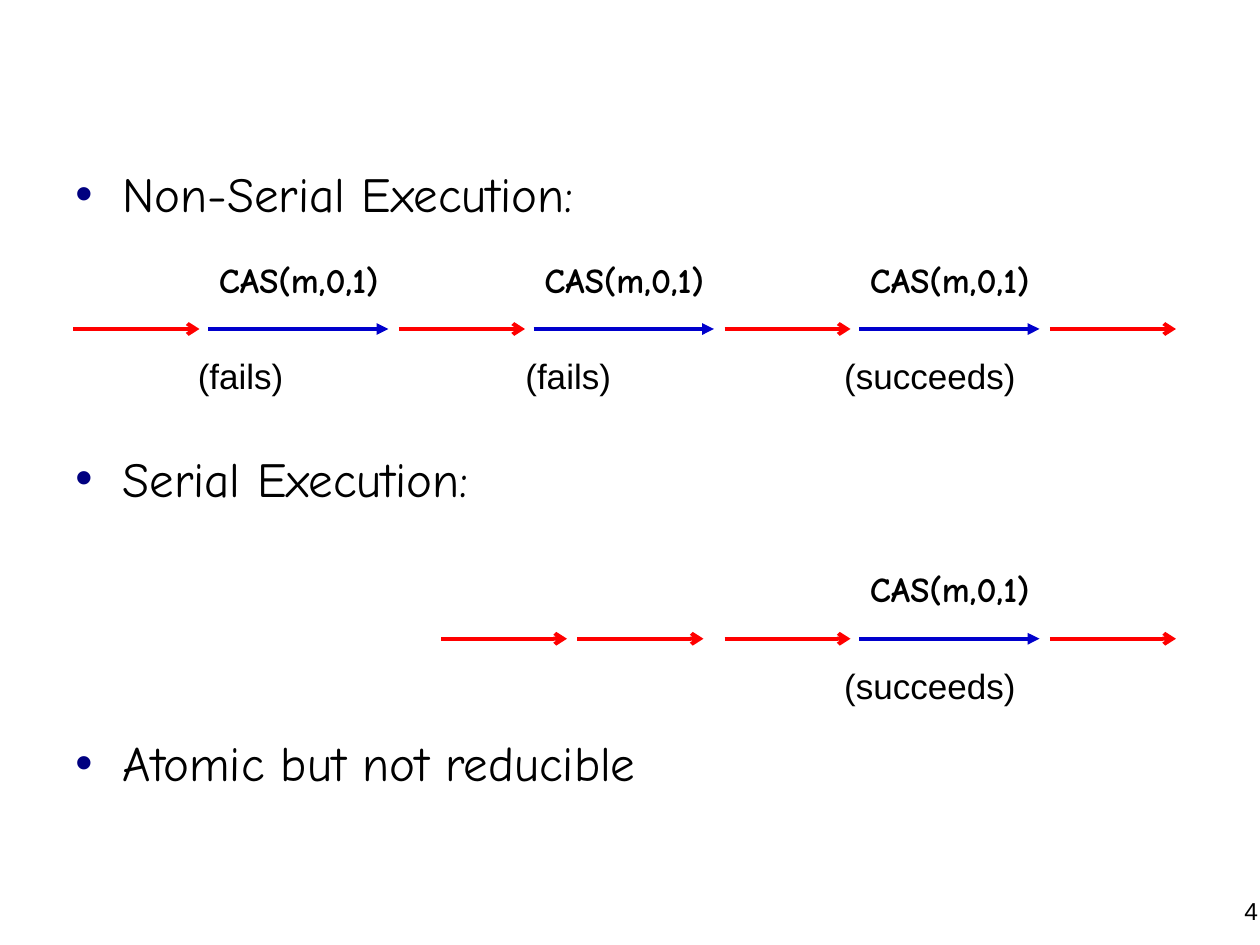
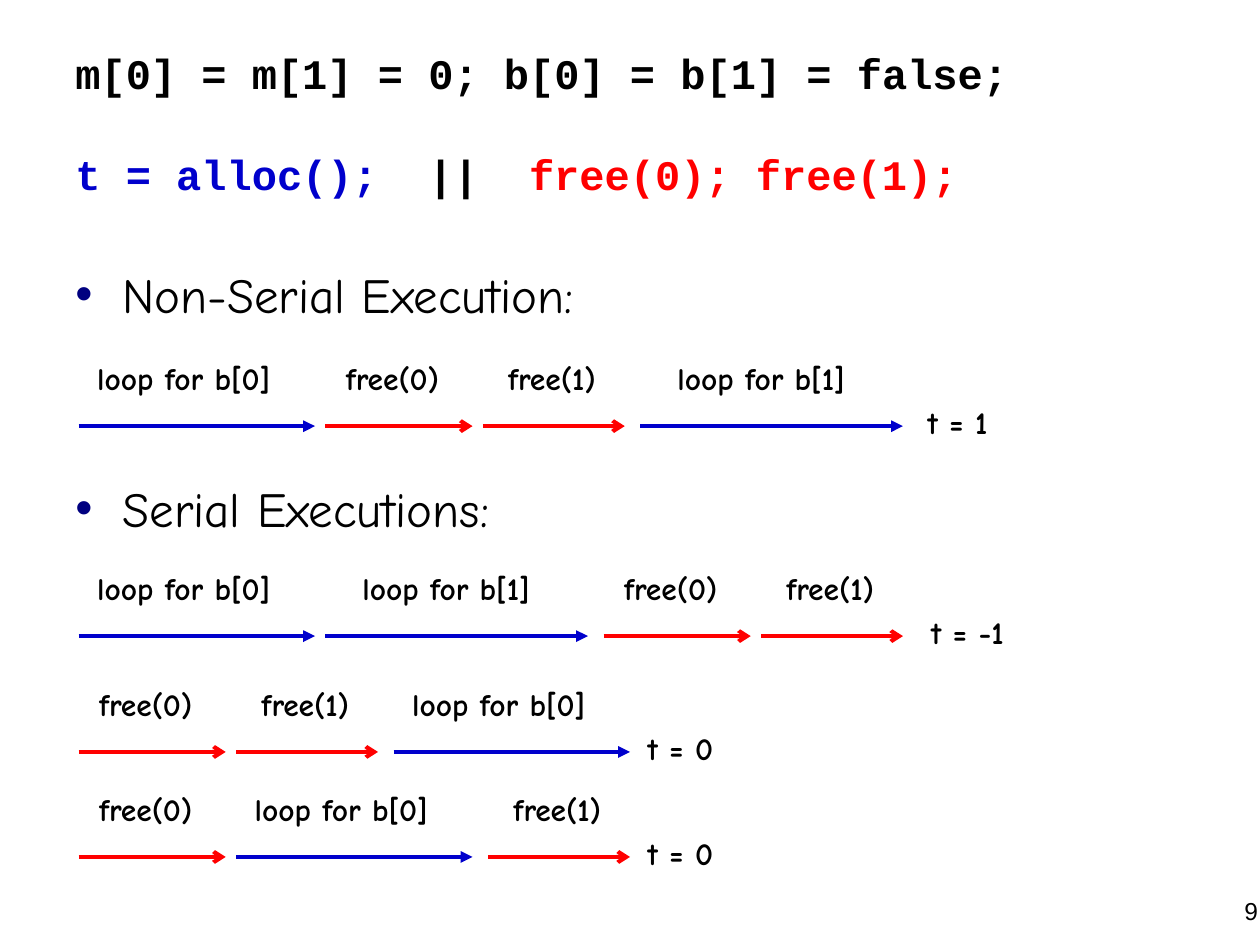
"""Build two slides comparing non-serial and serial executions."""
from dataclasses import dataclass
from lxml import etree
from pptx import Presentation
from pptx import util as u
from pptx.dml.color import RGBColor
from pptx.enum import shapes, text
from pptx.oxml.ns import qn


@dataclass(frozen=True)
class Theme:
    black: str = "000000"
    blue: str = "0000CC"
    red: str = "FF0000"
    bullet: str = "000080"
    hand: str = "Comic Neue"
    sans: str = "Arial"
    code: str = "Courier New"
    heading_size: int = 28
    code_size: int = 24
    cas_size: int = 20
    step_size: int = 18
    number_size: int = 14
    arrow_width: float = 2.25


theme = Theme()


def write(page, at, lines, size, face, bold=False, align="LEFT", gap=0, wrap=False):
    box = page.shapes.add_textbox(*(u.Pt(length) for length in at))
    frame = box.text_frame
    frame.word_wrap = wrap
    frame.auto_size = text.MSO_AUTO_SIZE.NONE if wrap else text.MSO_AUTO_SIZE.SHAPE_TO_FIT_TEXT
    for index, spans in enumerate(lines):
        para = frame.paragraphs[0] if index == 0 else frame.add_paragraph()
        para.alignment = text.PP_ALIGN[align]
        if index:
            para.space_before = u.Pt(gap)
        for words, colour in spans:
            span = para.add_run()
            span.text = words
            span.font.size = u.Pt(size)
            span.font.name = face
            span.font.bold = bold
            span.font.color.rgb = RGBColor.from_string(colour)
    return frame


def draw_arrow(page, start, end, y, colour):
    line = page.shapes.add_connector(
        shapes.MSO_CONNECTOR.STRAIGHT, u.Pt(start), u.Pt(y), u.Pt(end), u.Pt(y))
    line.line.color.rgb = RGBColor.from_string(colour)
    line.line.width = u.Pt(theme.arrow_width)
    head = "triangle" if colour == theme.blue else "arrow"
    outline = line.line._get_or_add_ln()
    etree.SubElement(outline, qn("a:miter"), lim="800000")
    etree.SubElement(outline, qn("a:tailEnd"), type=head)
    etree.SubElement(line._element.spPr, qn("a:effectLst"))


deck = Presentation()
deck.slide_width, deck.slide_height = u.Pt(720), u.Pt(540)

outlines = [
    ("4", 90, 392, 129, ["Non-Serial Execution:", "Serial Execution:", "Atomic but not reducible"]),
    ("9", 147.6, 356, 88.5, ["Non-Serial Execution:", "Serial Executions:"]),
]
pages = []
for number, top, height, gap, headings in outlines:
    page = deck.slides.add_slide(deck.slide_layouts[6])
    pages.append(page)
    frame = write(page, (36, top, 648, height), [[(words, theme.black)] for words in headings],
                  theme.heading_size, theme.hand, gap=gap, wrap=True)
    for para in frame.paragraphs:
        props = para._p.get_or_add_pPr()
        props.set("marL", str(u.Pt(27)))
        props.set("indent", str(-u.Pt(27)))
        tint = etree.SubElement(props, qn("a:buClr"))
        etree.SubElement(tint, qn("a:srgbClr"), val=theme.bullet)
        etree.SubElement(props, qn("a:buFont"), typeface=theme.sans)
        etree.SubElement(props, qn("a:buChar"), char="•")
    write(page, (558, 508.3, 168, 37.4), [[(number, theme.black)]],
          theme.number_size, theme.sans, align="RIGHT", wrap=True)

cas_page, alloc_page = pages

lane_period = 186
cas_lanes = [
    (188, [42 + lane_period * step for step in range(4)],
     [(119, "(fails)", 137.5, 70), (305, "(fails)", 324.7, 70), (491, "(succeeds)", 531.4, 120)]),
    (365, [252, 330, 414, 600], [(491, "(succeeds)", 531.4, 120)]),
]
for y, other_starts, attempts in cas_lanes:
    for start in other_starts:
        draw_arrow(cas_page, start, start + 72, y, theme.red)
    for start, outcome, middle, width in attempts:
        draw_arrow(cas_page, start, start + 103, y, theme.blue)
        write(cas_page, (start - 1, y - 44, 106, 31.7), [[("CAS(m,0,1)", theme.black)]],
              theme.cas_size, theme.hand, bold=True)
        write(cas_page, (middle - width / 2, y + 11, width, 31.7), [[(outcome, theme.black)]],
              theme.cas_size, theme.sans, align="CENTER")

write(alloc_page, (36, 23.5, 654, 93.6), [
    [("m[0] = m[1] = 0; b[0] = b[1] = false;", theme.black)],
    [("t = alloc();", theme.blue), ("  ||  ", theme.black), ("free(0); free(1);", theme.red)],
], theme.code_size, theme.code, bold=True, gap=29, wrap=True)

steps = {
    "loop for b[0]": (135, 3.5, 114, theme.blue),
    "loop for b[1]": (150, 14, 110, theme.blue),
    "free(0)": (84, 4.5, 68, theme.red),
    "free(1)": (81, 7.3, 65, theme.red),
}
runs = [
    (243.5, [("loop for b[0]", 0), ("free(0)", 6), ("free(1)", 6), ("loop for b[1]", 9)],
     "t = 1", 7),
    (363.5, [("loop for b[0]", 0), ("loop for b[1]", 6), ("free(0)", 9), ("free(1)", 6)],
     "t = -1", 9),
    (429.7, [("free(0)", 0), ("free(1)", 6), ("loop for b[0]", 9)], "t = 0", 3),
    (489.7, [("free(0)", 0), ("loop for b[0]", 6), ("free(1)", 9)], "t = 0", 3),
]
for y, sequence, result, result_gap in runs:
    x = 45
    for name, gap in sequence:
        length, inset, width, colour = steps[name]
        x += gap
        draw_arrow(alloc_page, x, x + length, y, colour)
        write(alloc_page, (x + inset, y - 42, width, 28.8), [[(name, theme.black)]],
              theme.step_size, theme.hand, bold=True)
        x += length
    write(alloc_page, (x + result_gap, y - 16.5, 62, 28.8),
          [[(result, theme.black)]], theme.step_size, theme.hand, bold=True)

deck.save("out.pptx")
